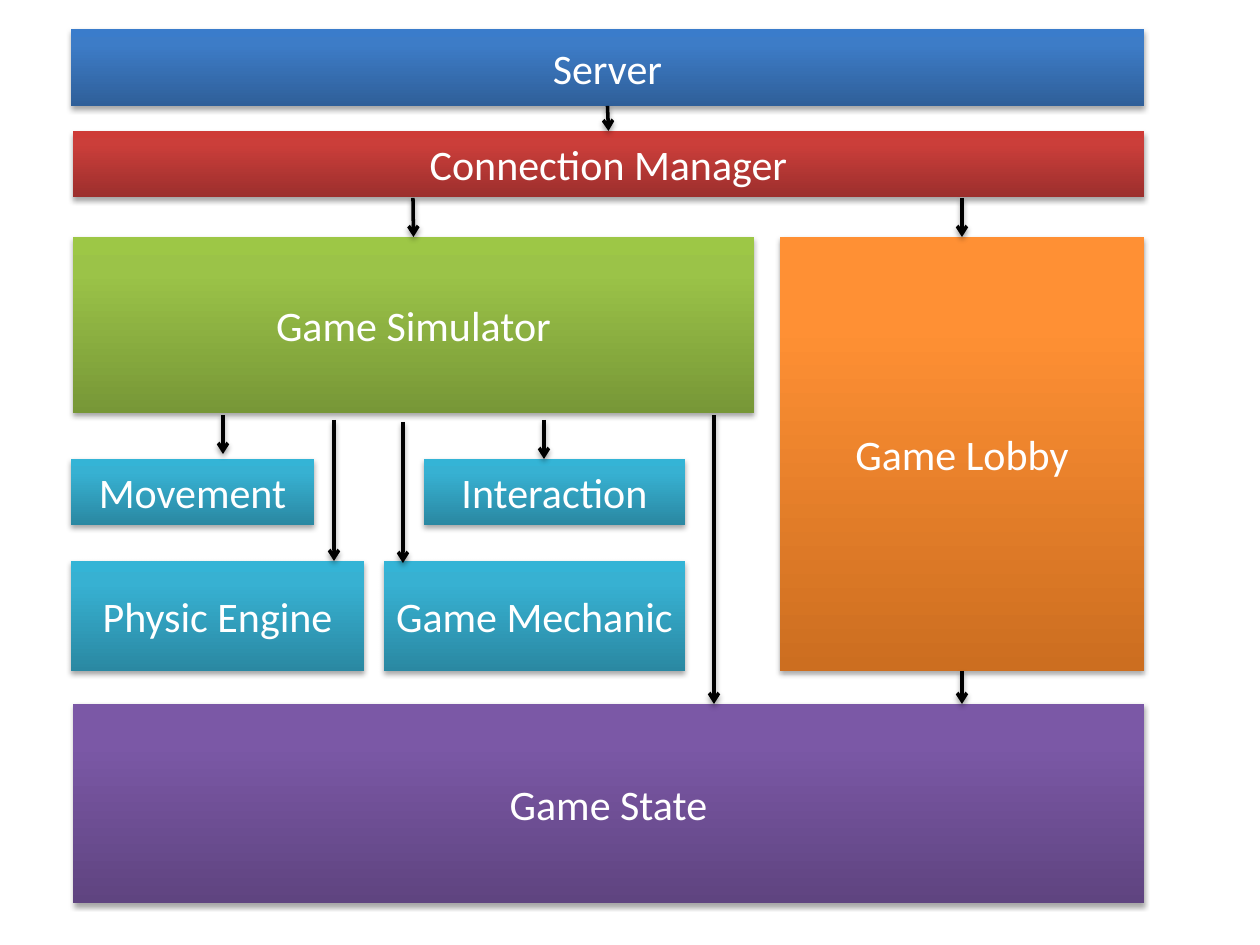
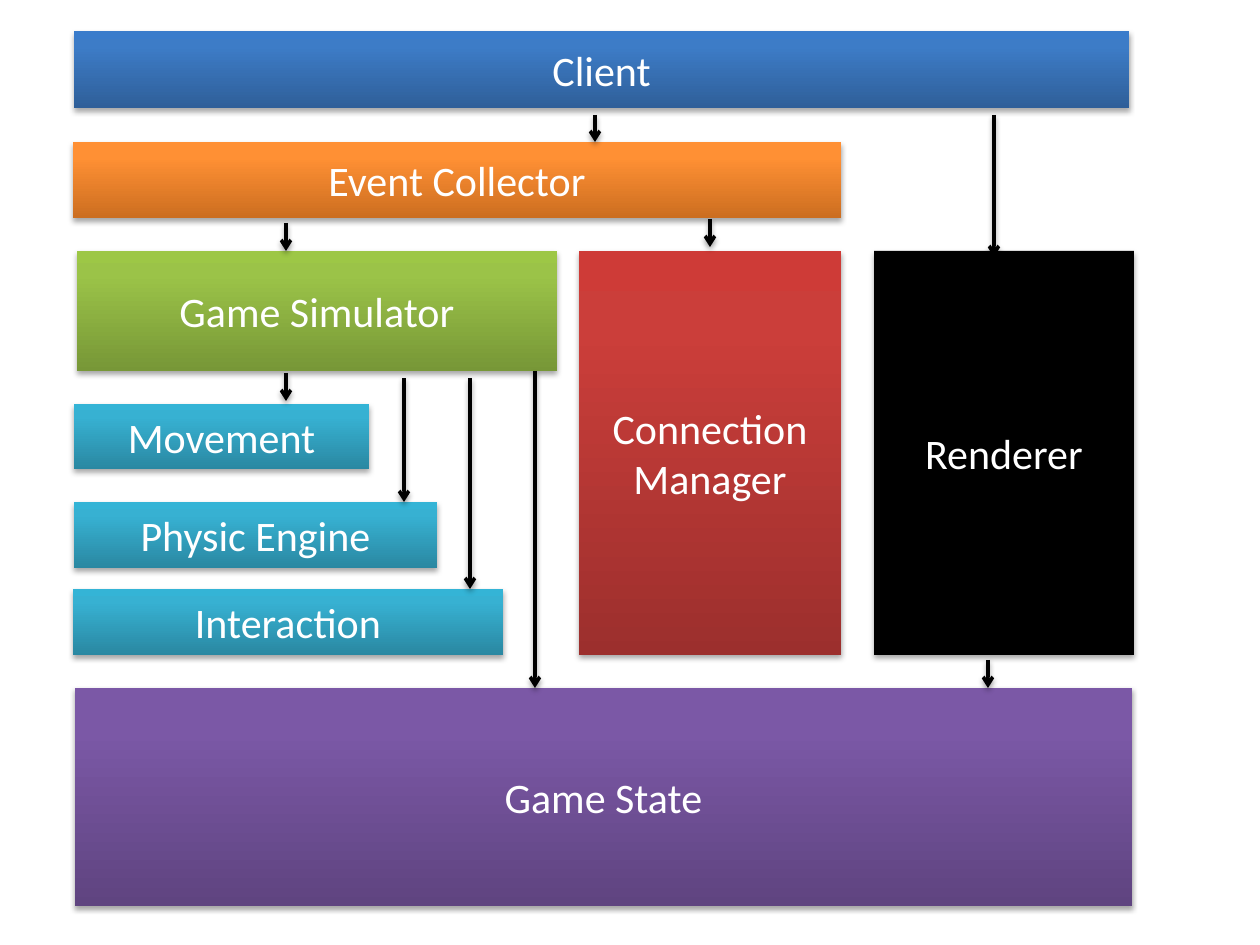
from copy import deepcopy

from lxml import etree
from pptx import Presentation
from pptx.dml.color import RGBColor
from pptx.enum.shapes import MSO_CONNECTOR, MSO_SHAPE
from pptx.enum.text import MSO_ANCHOR, PP_ALIGN
from pptx.oxml import parse_xml
from pptx.oxml.ns import nsdecls, qn
from pptx.util import Pt

PX = 914400 / 126
RECTANGLE = MSO_SHAPE.RECTANGLE
STRAIGHT = MSO_CONNECTOR.STRAIGHT
CENTER = PP_ALIGN.CENTER
MIDDLE = MSO_ANCHOR.MIDDLE
TOP_SIDE, BOTTOM_SIDE = 0, 2

FONT = "Calibri"
COLORS = {"text": "FFFFFF", "arrow": "000000", "black": "000000"}
# Gradient colours from the bottom of a box to its top
GRADIENTS = {
    "blue": ("2F5F99", "3D7CC7", "3A7CCB"),
    "red": ("9C2F2D", "CB3E3A", "CE3B37"),
    "green": ("779737", "9BC348", "9DC746"),
    "orange": ("CC6E20", "FF9034", "FF9136"),
    "teal": ("2A88A2", "37B1D2", "34B4D6"),
    "purple": ("5F4480", "7B58A6", "7C57A8"),
}
GRADIENT_POSITIONS = (0, 0.8, 1)

# Boxes: label, colour, left, top, width, height.
# Arrows: x, start y, end y, box joined at the start, box joined at the end.
DIAGRAMS = [
    {
        "boxes": [
            ("Server", "blue", 71, 29, 1073, 77),
            ("Game Simulator", "green", 73, 237, 681, 176),
            ("Game Lobby", "orange", 780, 237, 364, 434),
            ("Connection Manager", "red", 73, 131, 1071, 66),
            ("Movement", "teal", 71, 459, 243, 66),
            ("Interaction", "teal", 424, 459, 261, 66),
            ("Physic Engine", "teal", 71, 561, 293, 110),
            ("Game Mechanic", "teal", 384, 561, 301, 110),
            ("Game State", "purple", 73, 704, 1071, 199),
        ],
        "arrows": [
            (608, 106, 131, "Server", "Connection Manager"),
            (413, 198, 237, None, "Game Simulator"),
            (962, 198, 237, None, "Game Lobby"),
            (223, 415, 454, None, None),
            (544, 420, 459, None, None),
            (334, 420, 561, None, None),
            (403, 422, 563, None, None),
            (714, 415, 704, None, None),
            (962, 671, 704, "Game Lobby", None),
        ],
    },
    {
        "boxes": [
            ("Client", "blue", 74, 31, 1055, 77),
            ("Game Simulator", "green", 77, 251, 480, 120),
            ("Connection Manager", "red", 579, 251, 262, 404),
            ("Movement", "teal", 74, 404, 295, 65),
            ("Interaction", "teal", 73, 589, 430, 66),
            ("Physic Engine", "teal", 74, 502, 363, 66),
            ("Game State", "purple", 75, 688, 1057, 218),
            ("Renderer", "black", 874, 251, 260, 404),
            ("Event Collector", "orange", 73, 142, 768, 76),
        ],
        "arrows": [
            (595, 115, 142, None, None),
            (286, 223, 251, None, None),
            (710, 219, 247, None, None),
            (994, 115, 257, None, None),
            (988, 660, 688, None, None),
            (286, 373, 401, None, None),
            (404, 378, 502, None, None),
            (470, 378, 589, None, None),
            (535, 371, 688, None, None),
        ],
    },
]


def px(value):
    return round(value * PX)


def add_shadow(shape, distance, opacity):
    """Give a shape or connector a soft black shadow straight below it."""
    properties = shape._element.spPr
    for effects in properties.findall(qn("a:effectLst")):
        properties.remove(effects)
    properties.append(parse_xml(
        f'<a:effectLst {nsdecls("a")}>'
        f'<a:outerShdw blurRad="40000" dist="{distance}" dir="5400000" rotWithShape="0">'
        f'<a:srgbClr val="000000"><a:alpha val="{opacity * 1000}"/></a:srgbClr>'
        '</a:outerShdw></a:effectLst>'))


presentation = Presentation()
presentation.slide_width = px(1260)
presentation.slide_height = px(945)
blank_layout = presentation.slide_layouts[6]

for diagram in DIAGRAMS:
    slide = presentation.slides.add_slide(blank_layout)
    boxes = {}

    for label, color, left, top, width, height in diagram["boxes"]:
        box = slide.shapes.add_shape(RECTANGLE, px(left), px(top), px(width), px(height))
        boxes[label] = box
        if color in GRADIENTS:
            box.fill.gradient()
            box.fill.gradient_angle = 90
            stop_list = box._element.spPr.find(".//" + qn("a:gsLst"))
            stop_list.append(deepcopy(stop_list[-1]))
            stops = zip(box.fill.gradient_stops, GRADIENT_POSITIONS, GRADIENTS[color])
            for stop, position, stop_color in stops:
                stop.position = position
                stop.color.rgb = RGBColor.from_string(stop_color)
        else:
            box.fill.solid()
            box.fill.fore_color.rgb = RGBColor.from_string(COLORS[color])
        box.line.fill.background()
        add_shadow(box, 23000, 35)

        frame = box.text_frame
        frame.word_wrap = True
        frame.vertical_anchor = MIDDLE
        frame.margin_left = frame.margin_right = px(8)
        paragraph = frame.paragraphs[0]
        paragraph.alignment = CENTER
        run = paragraph.add_run()
        run.text = label
        run.font.name = FONT
        run.font.size = Pt(24)
        run.font.color.rgb = RGBColor.from_string(COLORS["text"])

    for x, start, end, source, target in diagram["arrows"]:
        arrow = slide.shapes.add_connector(STRAIGHT, px(x), px(start), px(x), px(end))
        if source:
            arrow.begin_connect(boxes[source], BOTTOM_SIDE)
        if target:
            arrow.end_connect(boxes[target], TOP_SIDE)
        arrow.line.width = Pt(2)
        arrow.line.color.rgb = RGBColor.from_string(COLORS["arrow"])
        line = arrow._element.spPr.find(qn("a:ln"))
        etree.SubElement(line, qn("a:tailEnd"), type="arrow")
        add_shadow(arrow, 20000, 38)

presentation.save("out.pptx")
